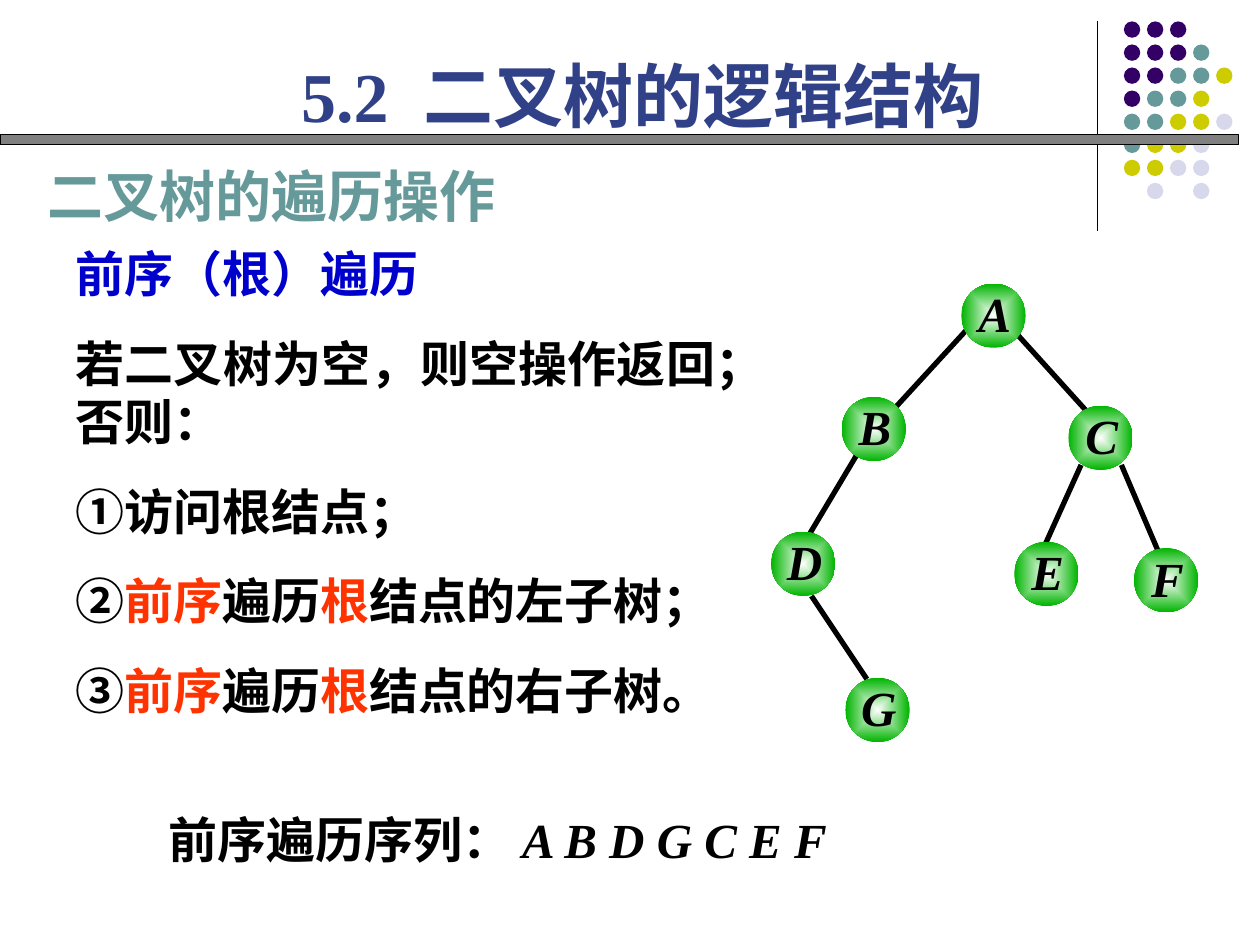
from dataclasses import dataclass

from lxml import etree
from pptx import Presentation
from pptx import util as u
from pptx.dml.color import RGBColor
from pptx.enum import shapes, text
from pptx.oxml.ns import qn


@dataclass(frozen=True)
class Theme:
    latin: str = "Times New Roman"
    chinese: str = "Noto Sans CJK SC"
    black: str = "000000"
    white: str = "FFFFFF"
    title: str = "314187"
    heading: str = "669999"
    order_name: str = "0000CC"
    emphasis: str = "FF3300"
    node: str = "00B400"
    bar: str = "808080"
    shadow: str = "808080"
    title_size: int = 40
    heading_size: int = 32
    body_size: int = 28
    paragraph_gap: float = 17.5
    line_height: float = 1.2


THEME = Theme()
DOT_COLORS = {"P": "330066", "T": "669999", "Y": "CCCC00", "L": "D8D8EC"}


def rgb(color):
    return RGBColor.from_string(color)


def inches(*lengths):
    return [u.Inches(length) for length in lengths]


class SlideBuilder:
    """Holds the theme and the slide being built."""

    def __init__(self, slide, theme):
        self.slide = slide
        self.theme = theme

    def group(self):
        return self.slide.shapes.add_group_shape().shapes

    def line(self, parent, start, end, weight):
        connector = parent.add_connector(
            shapes.MSO_CONNECTOR.STRAIGHT, *inches(*start, *end))
        connector.line.color.rgb = rgb(self.theme.black)
        connector.line.width = u.Pt(weight)
        etree.SubElement(connector._element.spPr, qn("a:effectLst"))

    def shape(self, parent, kind, box, color, outline=None):
        item = parent.add_shape(kind, *inches(*box))
        item.shadow.inherit = False
        item.fill.solid()
        item.fill.fore_color.rgb = rgb(color)
        if outline:
            item.line.color.rgb = rgb(outline)
            item.line.width = u.Pt(0.75)
        else:
            item.line.fill.background()
        return item

    def radial_fill(self, item, inner, outer):
        item.fill.gradient()
        for stop, color in zip(item.fill.gradient_stops, (inner, outer)):
            stop.color.rgb = rgb(color)
        gradient = item._element.spPr.find(qn("a:gradFill"))
        gradient.remove(gradient.find(qn("a:lin")))
        shade = etree.SubElement(gradient, qn("a:path"), {"path": "rect"})
        etree.SubElement(shade, qn("a:fillToRect"),
                         dict.fromkeys("ltrb", "50000"))

    def run(self, paragraph, wording, size, color, **options):
        run = paragraph.add_run()
        run.text = wording
        values = {"size": u.Pt(size), "name": self.theme.latin,
                  "bold": True, **options}
        for attribute, value in values.items():
            setattr(run.font, attribute, value)
        run.font.color.rgb = rgb(color)
        etree.SubElement(run._r.get_or_add_rPr(), qn("a:ea"),
                         {"typeface": self.theme.chinese})
        return run

    def frame(self, item, margins):
        left, top, right, bottom = inches(*margins)
        values = {"word_wrap": True, "auto_size": text.MSO_AUTO_SIZE.NONE,
                  "vertical_anchor": text.MSO_ANCHOR.TOP,
                  "margin_left": left, "margin_top": top,
                  "margin_right": right, "margin_bottom": bottom}
        for attribute, value in values.items():
            setattr(item.text_frame, attribute, value)
        return item.text_frame

    def text(self, box, paragraphs, size, side=0.1, holder=None,
             align=text.PP_ALIGN.JUSTIFY):
        """Each paragraph is a list of (wording, color, options)."""
        holder = holder or self.slide.shapes.add_textbox(*inches(*box))
        holder.left, holder.top, holder.width, holder.height = inches(*box)
        # The tight line height lifts the glyphs, so the top margin grows
        top = 0.05 + 0.09 * size / 72
        frame = self.frame(holder, (side, top, side, 0))
        runs = []
        for index, parts in enumerate(paragraphs):
            paragraph = frame.add_paragraph() if index else frame.paragraphs[0]
            paragraph.alignment = align
            paragraph.line_spacing = u.Pt(size * self.theme.line_height)
            paragraph.space_before = u.Pt(
                self.theme.paragraph_gap if index else 0)
            runs += [self.run(paragraph, wording, size, color, **options)
                     for wording, color, options in parts]
        return runs

    def text_shadow(self, run):
        effects = etree.Element(qn("a:effectLst"))
        shadow = etree.SubElement(effects, qn("a:outerShdw"),
                                  {"dist": "17961", "dir": "2700000"})
        etree.SubElement(shadow, qn("a:srgbClr"), {"val": self.theme.shadow})
        run._r.rPr.find(qn("a:solidFill")).addnext(effects)

    def node(self, parent, letter, left, top):
        circle = self.shape(parent, shapes.MSO_SHAPE.OVAL,
                            (left, top, 0.51, 0.51), self.theme.node)
        self.radial_fill(circle, self.theme.white, self.theme.node)
        label = parent.add_textbox(
            *inches(left + 0.05, top - 0.04, 0.43, 0.67))
        paragraph = self.frame(label, (0, 0.04, 0, 0)).paragraphs[0]
        paragraph.alignment = text.PP_ALIGN.CENTER
        self.run(paragraph, letter, self.theme.body_size, self.theme.black,
                 italic=True)


def main():
    deck = Presentation()
    deck.slide_width, deck.slide_height = inches(10, 7.5)
    slide = deck.slides.add_slide(deck.slide_layouts[5])
    page = SlideBuilder(slide, THEME)
    black, accent = THEME.black, THEME.emphasis

    # Corner decoration: rule, dot grid and bar
    page.line(slide.shapes, (8.71, 0.17), (8.71, 1.83), 0.75)
    dots = page.group()
    dot_rows = ["PPP", "PPPT", "PPTTY", "PTTY", "TTYYL", "TYYL", "YYLL",
                " L L"]
    for row, pattern in enumerate(dot_rows):
        for column, key in enumerate(pattern):
            if key in DOT_COLORS:
                box = (8.92 + column * 0.183, 0.17 + row * 0.183, 0.13, 0.13)
                page.shape(dots, shapes.MSO_SHAPE.OVAL, box, DOT_COLORS[key])
    page.shape(slide.shapes, shapes.MSO_SHAPE.RECTANGLE,
               (0, 1.07, 9.83, 0.08), THEME.bar, black)

    # Title, with a widened space after the section number
    title_parts = [(part, THEME.title, {})
                   for part in ("5.2", " ", "二叉树的逻辑结构")]
    title_runs = page.text((2.29, 0.32, 6.38, 0.77), [title_parts],
                           THEME.title_size, holder=slide.shapes.title)
    title_runs[1]._r.rPr.set("spc", "1000")

    # Traversal rules
    def subtree_step(number, side):
        return [(number, black, {}), ("前序", accent, {}),
                ("遍历", black, {}), ("根", accent, {}),
                (f"结点的{side}子树" + ("；" if side == "左" else "。"),
                 black, {})]

    rules = [
        [("前序（根）遍历", THEME.order_name, {"name": THEME.chinese})],
        [("若二叉树为空，则空操作返回；否则：", black, {})],
        [("①访问根结点；", black, {})],
        subtree_step("②", "左"),
        subtree_step("③", "右"),
    ]
    page.text((0.6, 1.85, 5.47, 3.88), rules, THEME.body_size, side=0)

    # Resulting sequence
    sequence = [("前序遍历序列： ", black, {}),
                ("A B D G C E F", black, {"italic": True})]
    page.text((1.24, 6.34, 5.6, 0.57), [sequence], THEME.body_size)

    # Binary tree: edges first, nodes on top
    tree = page.group()
    edges = [((7.67, 2.62), (7.11, 3.23)), ((8.07, 2.65), (8.63, 3.27)),
             ((6.8, 3.61), (6.43, 4.23)), ((6.44, 4.73), (6.88, 5.39)),
             ((8.58, 3.69), (8.3, 4.31)), ((8.9, 3.69), (9.19, 4.37))]
    for start, end in edges:
        page.line(tree, start, end, 3)
    nodes = {"A": (7.63, 2.25), "B": (6.68, 3.15), "C": (8.48, 3.22),
             "D": (6.12, 4.22), "E": (8.05, 4.3), "F": (9, 4.35),
             "G": (6.71, 5.38)}
    for letter, (left, top) in nodes.items():
        page.node(tree, letter, left, top)

    # Section heading
    heading = [("二叉树的遍历操作", THEME.heading, {"name": THEME.chinese})]
    heading_runs = page.text((0.28, 1.19, 5.92, 0.64), [heading],
                             THEME.heading_size, align=text.PP_ALIGN.LEFT)
    page.text_shadow(heading_runs[0])

    deck.save("out.pptx")


if __name__ == "__main__":
    main()
